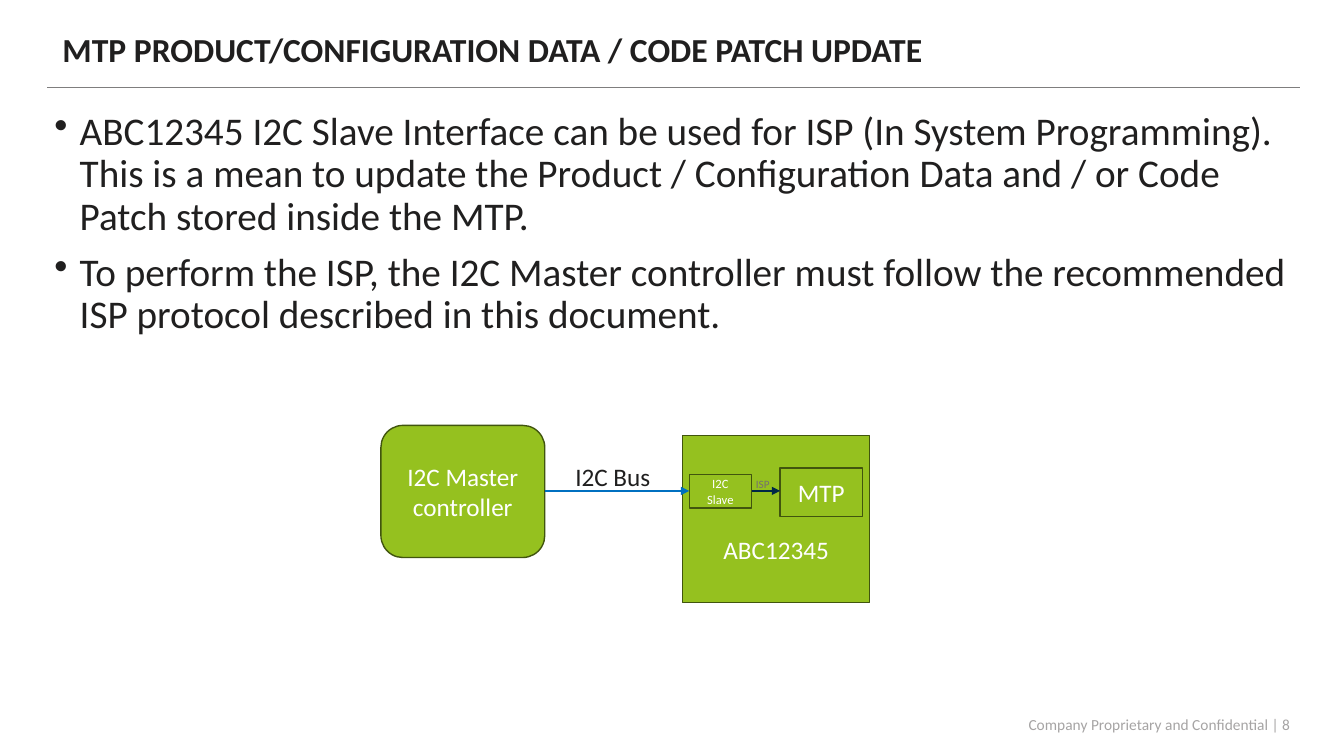
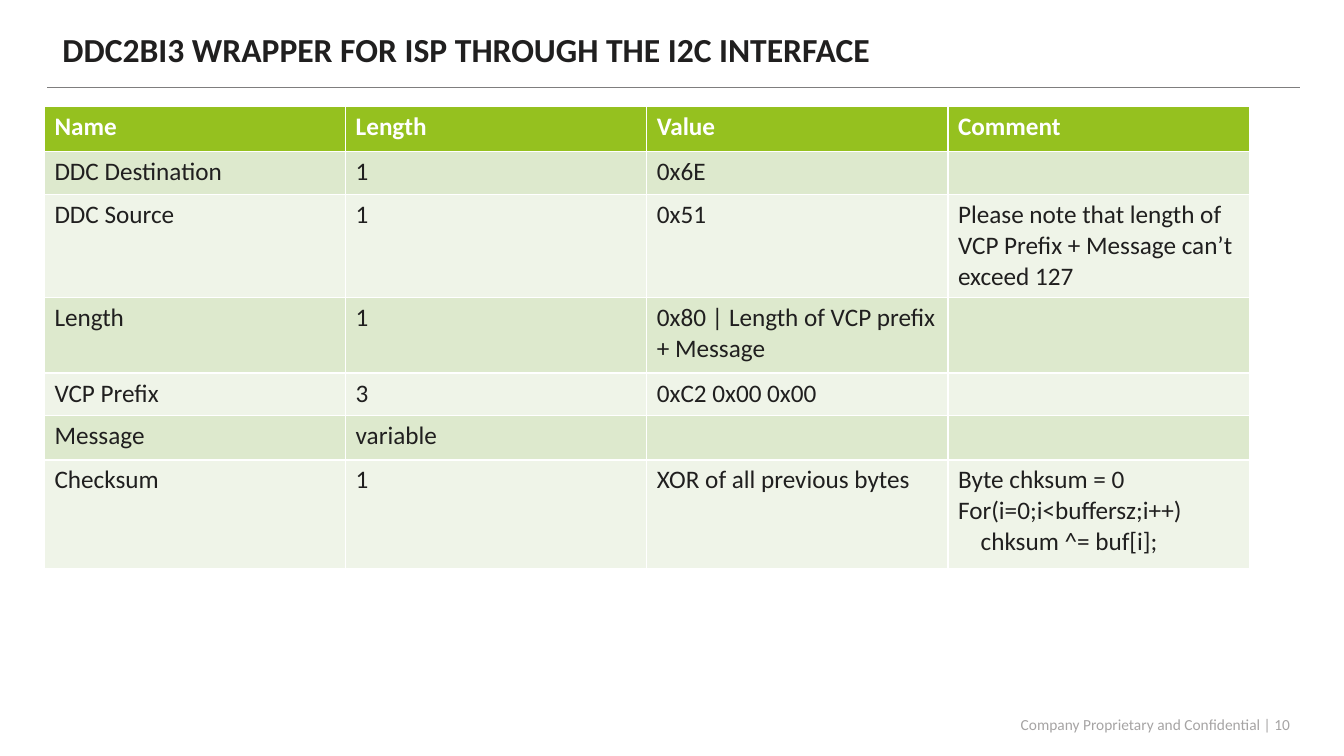
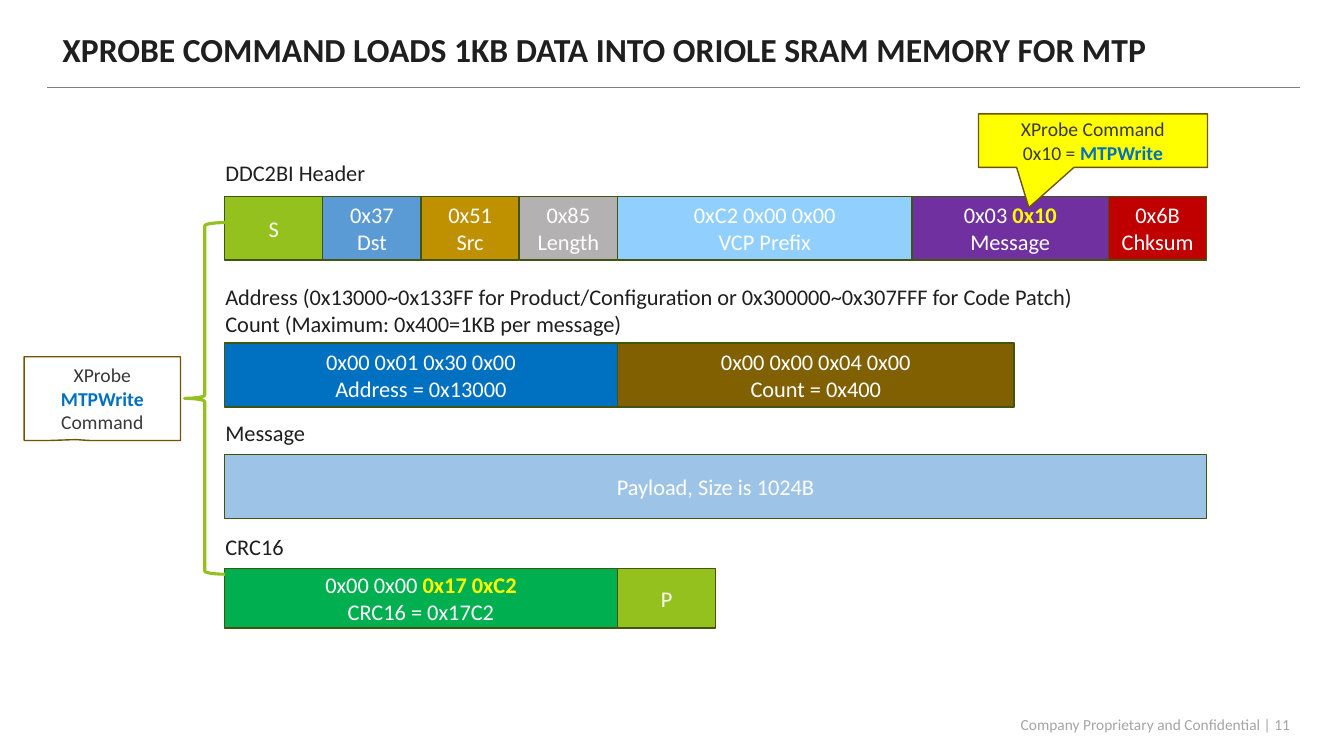
import lxml.etree
import pptx
import pptx.dml.color
import pptx.enum.shapes
import pptx.enum.text
import pptx.oxml.ns
import pptx.util

Cm = pptx.util.Cm
Pt = pptx.util.Pt
qn = pptx.oxml.ns.qn
SHAPE = pptx.enum.shapes.MSO_SHAPE
STRAIGHT = pptx.enum.shapes.MSO_CONNECTOR.STRAIGHT
ALIGN = pptx.enum.text.PP_ALIGN
ANCHOR = pptx.enum.text.MSO_ANCHOR
FIT = pptx.enum.text.MSO_AUTO_SIZE

# Shared colours
INK, WHITE, GREEN, OLIVE = "201F1F", "FFFFFF", "95C11F", "41550E"
BLUE, YELLOW, BROWN, CHARCOAL = "0070C0", "FFFF00", "705400", "3A3838"


def paint(fill, color):
    """Fill an area, a line or a font with a hex colour, or clear it."""
    if color is None:
        fill.background()
    else:
        fill.solid()
        fill.fore_color.rgb = pptx.dml.color.RGBColor.from_string(color)


def write(frame, text, size=18, color=INK, bold=False, accent=None,
          align=ALIGN.LEFT, anchor=ANCHOR.TOP, wrap=True, fit=FIT.NONE,
          spacing=None, before=0, bullet=False):
    """Write one paragraph a line; words between asterisks are bold in accent."""
    frame.word_wrap = wrap
    frame.auto_size = fit
    frame.vertical_anchor = anchor
    for index, line in enumerate(text.split("\n")):
        para = frame.add_paragraph() if index else frame.paragraphs[0]
        para.alignment = align
        para.line_spacing = spacing
        para.space_before = Pt(before)
        if bullet:
            properties = para._p.get_or_add_pPr()
            properties.set("marL", str(Cm(0.64)))
            properties.set("indent", str(-Cm(0.64)))
            lxml.etree.SubElement(properties, qn("a:buChar"), char="•")
        for part, words in enumerate(line.split("*")):
            if words:
                marked = part % 2 == 1
                span = para.add_run()
                span.text = words
                span.font.name = "Calibri"
                span.font.size = Pt(size)
                span.font.bold = bold or marked
                paint(span.font.fill, accent if marked else color)


deck = pptx.Presentation()
deck.slide_width, deck.slide_height = Cm(33.87), Cm(19.05)

# Title, rule and footer of every page
pages = []
for number, heading in [
    (8, "MTP PRODUCT/CONFIGURATION DATA / CODE PATCH UPDATE"),
    (10, "DDC2BI3 WRAPPER FOR ISP THROUGH THE I2C INTERFACE"),
    (11, "XPROBE COMMAND LOADS 1KB DATA INTO ORIOLE SRAM MEMORY FOR MTP"),
]:
    page = deck.slides.add_slide(deck.slide_layouts[5])
    pages.append(page)
    title = page.shapes.title
    title.left, title.top, title.width, title.height = Cm(1.32), Cm(0.61), Cm(28.12), Cm(1.37)
    write(title.text_frame, heading, size=24, bold=True, anchor=ANCHOR.MIDDLE, spacing=0.9)
    rule = page.shapes.add_connector(STRAIGHT, Cm(1.19), Cm(2.21), Cm(32.75), Cm(2.21))
    paint(rule.line.fill, "7F7E7E")
    rule.line.width = Pt(1)
    footer = page.shapes.add_textbox(Cm(21.21), Cm(17.93), Cm(11.56), Cm(0.66))
    write(footer.text_frame, f"Company Proprietary and Confidential | {number}",
          size=11, color="A6A4A4", align=ALIGN.RIGHT, anchor=ANCHOR.MIDDLE)
update_page, wrapper_page, command_page = pages

# Update page: bullets
body = update_page.shapes.add_textbox(Cm(1.12), Cm(2.69), Cm(31.52), Cm(6.38))
write(body.text_frame,
      "ABC12345 I2C Slave Interface can be used for ISP (In System Programming). "
      "This is a mean to update the Product / Configuration Data and / or Code Patch "
      "stored inside the MTP.\n"
      "To perform the ISP, the I2C Master controller must follow the recommended "
      "ISP protocol described in this document.",
      size=28, spacing=0.9, before=10, bullet=True)

# Update page: block diagram
for kind, left, top, width, height, text, size, top_margin in [
    (SHAPE.RECTANGLE, 17.2, 10.97, 4.72, 4.22, "ABC12345", 18, 1.68),
    (SHAPE.ROUNDED_RECTANGLE, 9.6, 10.72, 4.13, 3.33, "I2C Master\ncontroller", 18, 0.13),
    (SHAPE.RECTANGLE, 19.66, 11.79, 2.08, 1.22, "MTP", 18, 0.13),
    (SHAPE.RECTANGLE, 17.37, 11.96, 1.57, 0.84, "I2C Slave", 9, 0.13),
]:
    block = update_page.shapes.add_shape(kind, Cm(left), Cm(top), Cm(width), Cm(height))
    block.shadow.inherit = False
    paint(block.fill, GREEN)
    paint(block.line.fill, OLIVE)
    block.line.width = Pt(1)
    block.text_frame.margin_top = Cm(top_margin)
    write(block.text_frame, text, size=size, color=WHITE, align=ALIGN.CENTER,
          anchor=ANCHOR.MIDDLE)

for start, end, color in [(13.73, 17.37, BLUE), (18.94, 19.66, "002847")]:
    arrow = update_page.shapes.add_connector(STRAIGHT, Cm(start), Cm(12.37), Cm(end), Cm(12.37))
    paint(arrow.line.fill, color)
    arrow.line.width = Pt(1.5)
    outline = arrow._element.spPr.find(qn("a:ln"))
    lxml.etree.SubElement(outline, qn("a:tailEnd"), type="triangle")

for left, top, width, height, text, size, color, wrap in [
    (14.25, 11.51, 2.41, 1.02, "I2C Bus", 18, INK, False),
    (18.8, 11.91, 1.47, 0.61, "ISP", 8, "757070", True),
]:
    label = update_page.shapes.add_textbox(Cm(left), Cm(top), Cm(width), Cm(height))
    write(label.text_frame, text, size=size, color=color, wrap=wrap, fit=FIT.SHAPE_TO_FIT_TEXT)

# Wrapper page: message layout table
rows = [
    (1.12, "Name", "Length", "Value", "Comment"),
    (1.09, "DDC Destination", "1", "0x6E", ""),
    (2.59, "DDC Source", "1", "0x51",
     "Please note that length of VCP Prefix + Message can’t exceed 127"),
    (1.91, "Length", "1", "0x80 | Length of VCP prefix + Message", ""),
    (1.07, "VCP Prefix", "3", "0xC2 0x00 0x00", ""),
    (1.12, "Message", "variable", "", ""),
    (2.74, "Checksum", "1", "XOR of all previous bytes",
     "Byte chksum = 0\nFor(i=0;i<buffersz;i++)\nchksum ^= buf[i];"),
]
table = wrapper_page.shapes.add_table(
    len(rows), 4, Cm(1.12), Cm(2.69), Cm(30.36), Cm(11.64)).table
for column in table.columns:
    column.width = Cm(7.59)
for row_index, (height, *texts) in enumerate(rows):
    table.rows[row_index].height = Cm(height)
    header = row_index == 0
    band = GREEN if header else "DDE9CD" if row_index % 2 else "EFF4E8"
    for column_index, text in enumerate(texts):
        cell = table.cell(row_index, column_index)
        paint(cell.fill, band)
        write(cell.text_frame, text, color=WHITE if header else INK, bold=header)
loop_body = table.cell(6, 3).text_frame.paragraphs[-1]
loop_body._p.get_or_add_pPr().set("marL", str(Cm(0.57)))

# Command page: rows of fields, with widths in tenths of the full row
row_left, unit = 5.66, 24.75 / 10
for top, height, fields in [
    (4.95, 1.6, [(1, GREEN, "S"), (1, "5B9BD5", "0x37\nDst"), (1, "BF9000", "0x51\nSrc"),
                 (1, "B3B1B1", "0x85\nLength"), (3, "91CFFF", "0xC2 0x00 0x00\nVCP Prefix"),
                 (2, "7030A0", "0x03 *0x10*\nMessage"), (1, "C00000", "0x6B\nChksum")]),
    (8.64, 1.62, [(4, BLUE, "0x00 0x01 0x30 0x00\nAddress = 0x13000"),
                  (4.04, "806000", "0x00 0x00 0x04 0x00\nCount = 0x400")]),
    (11.46, 1.6, [(10, "9DC3E6", "Payload, Size is 1024B")]),
    (14.33, 1.5, [(4, "00B050", "0x00 0x00 *0x17 0xC2*\nCRC16 = 0x17C2"), (1, GREEN, "P")]),
]:
    left = row_left
    for units, color, text in fields:
        field = command_page.shapes.add_shape(
            SHAPE.RECTANGLE, Cm(left), Cm(top), Cm(units * unit), Cm(height))
        field.shadow.inherit = False
        paint(field.fill, color)
        paint(field.line.fill, OLIVE)
        field.line.width = Pt(1)
        write(field.text_frame, text, size=16, color=WHITE, accent=YELLOW,
              align=ALIGN.CENTER, anchor=ANCHOR.MIDDLE)
        left += units * unit

# Command page: row labels
for top, width, height, text in [
    (3.89, 4.09, 0.94, "DDC2BI Header"),
    (7.01, 22.02, 1.63,
     "Address (0x13000~0x133FF for Product/Configuration or 0x300000~0x307FFF for Code Patch)\n"
     "Count (Maximum: 0x400=1KB per message)"),
    (10.44, 2.54, 0.94, "Message"),
    (13.31, 2.01, 0.94, "CRC16"),
]:
    label = command_page.shapes.add_textbox(Cm(5.43), Cm(top), Cm(width), Cm(height))
    write(label.text_frame, text, size=16, wrap=False, fit=FIT.SHAPE_TO_FIT_TEXT)

# Command page: callouts and brace
for kind, left, top, width, height, adjustments, color, edge, weight, text in [
    (SHAPE.RECTANGULAR_CALLOUT, 24.66, 2.87, 5.77, 1.35, (-0.28, 1.25), YELLOW, BROWN, 1,
     "XProbe Command\n0x10 = *MTPWrite*"),
    (SHAPE.LEFT_BRACE, 4.65, 5.61, 1.02, 8.86, (0.08, 0.5), None, GREEN, 2.25, ""),
    (SHAPE.RECTANGULAR_CALLOUT, 0.61, 8.99, 3.94, 2.11, (-0.17, 0.49), None, BROWN, 1,
     "XProbe\n*MTPWrite*\nCommand"),
]:
    mark = command_page.shapes.add_shape(kind, Cm(left), Cm(top), Cm(width), Cm(height))
    mark.shadow.inherit = False
    for index, value in enumerate(adjustments):
        mark.adjustments[index] = value
    paint(mark.fill, color)
    paint(mark.line.fill, edge)
    mark.line.width = Pt(weight)
    write(mark.text_frame, text, size=14, color=CHARCOAL, accent=BLUE,
          align=ALIGN.CENTER, anchor=ANCHOR.MIDDLE)

# Connectors without shadow
for page in pages:
    for connector in page.element.iter(qn("p:cxnSp")):
        lxml.etree.SubElement(connector.spPr, qn("a:effectLst"))

deck.save("out.pptx")
